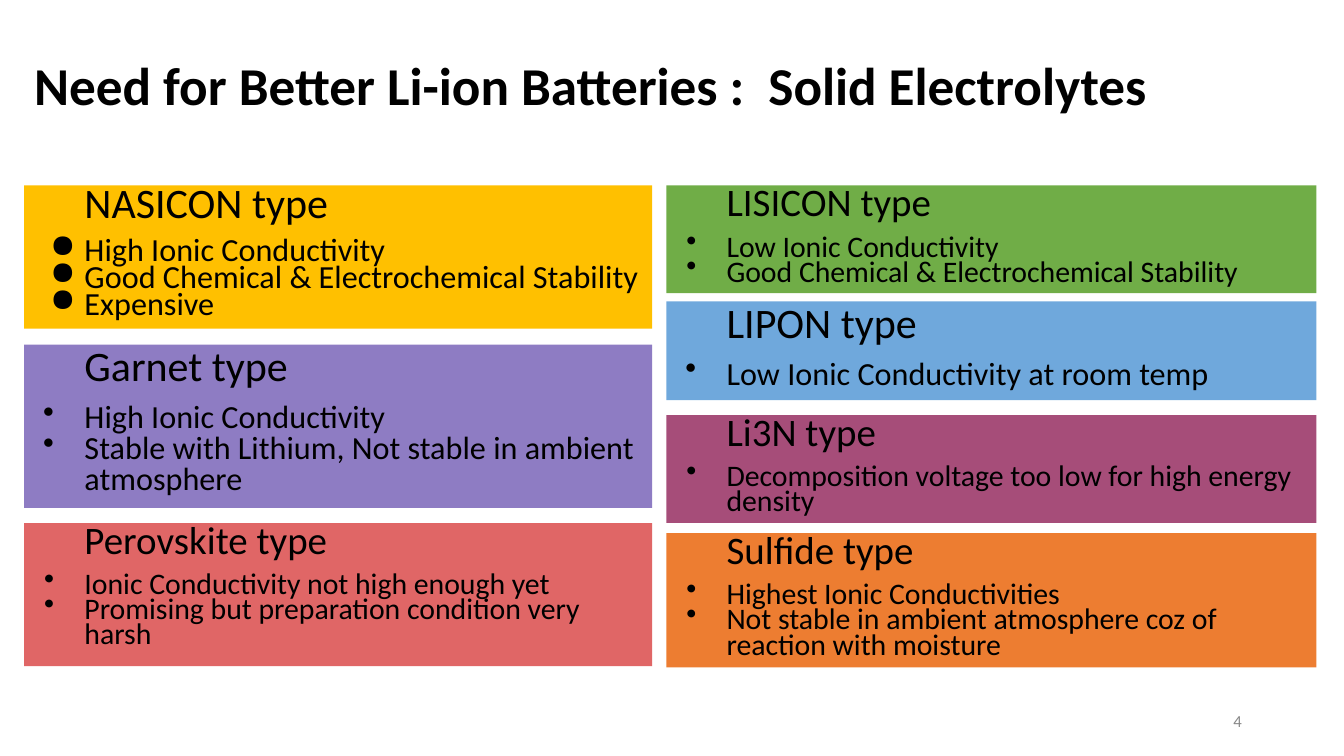
from dataclasses import dataclass

from lxml import etree
from pptx import Presentation
from pptx.dml.color import RGBColor
from pptx.enum.text import MSO_ANCHOR, PP_ALIGN
from pptx.oxml.ns import qn
from pptx.util import Pt

TOP, MIDDLE = MSO_ANCHOR.TOP, MSO_ANCHOR.MIDDLE
LEFT, RIGHT = PP_ALIGN.LEFT, PP_ALIGN.RIGHT

FONT = "Calibri"
BLACK = "000000"
GREY = "888888"
TEXT_INDENT = 36


@dataclass(frozen=True)
class Style:
    head: float
    body: float
    spacing: float
    hang: float
    bullet: str = "•"


@dataclass(frozen=True)
class Panel:
    top: float
    height: float
    fill: str
    style: Style
    title: str
    points: tuple[str, ...]


@dataclass(frozen=True)
class Column:
    left: float
    width: float
    panels: tuple[Panel, ...]


DOTTED = Style(30, 23, 0.7, 24.5, "●")
ROOMY = Style(30, 23, 0.8, 29.5)
COMPACT = Style(27.8, 21.3, 0.7, 28.8)

COLUMNS = (
    Column(17.3, 448.5, (
        Panel(132.5, 102.2, "FFC000", DOTTED, "NASICON type", (
            "High Ionic Conductivity",
            "Good Chemical & Electrochemical Stability",
            "Expensive",
        )),
        Panel(246.2, 116.6, "8E7CC3", ROOMY, "Garnet type", (
            "High Ionic Conductivity",
            "Stable with Lithium, Not stable in ambient atmosphere",
        )),
        Panel(373.7, 102.2, "E06666", COMPACT, "Perovskite type", (
            "Ionic Conductivity not high enough yet",
            "Promising but preparation condition very harsh",
        )),
    )),
    Column(475.9, 464.4, (
        Panel(132.5, 77, "70AD47", COMPACT, "LISICON type", (
            "Low Ionic Conductivity",
            "Good Chemical & Electrochemical Stability",
        )),
        Panel(215.3, 70.6, "6FA8DC", ROOMY, "LIPON type", (
            "Low Ionic Conductivity at room temp",
        )),
        Panel(296.6, 77, "A64D79", COMPACT, "Li3N type", (
            "Decomposition voltage too low for high energy density",
        )),
        Panel(380.9, 95.8, "ED7D31", COMPACT, "Sulfide type", (
            "Highest Ionic Conductivities",
            "Not stable in ambient atmosphere coz of reaction with moisture",
        )),
    )),
)


def color(value: str) -> RGBColor:
    return RGBColor.from_string(value)


def add_box(s, left: float, top: float, width: float, height: float, anchor=TOP):
    sp = s.shapes.add_textbox(Pt(left), Pt(top), Pt(width), Pt(height))
    tf = sp.text_frame
    tf.word_wrap = True
    tf.vertical_anchor = anchor
    return sp


def write(p, text: str, size: float, fill: str = BLACK, bold: bool = False, **formats) -> None:
    for name, value in formats.items():
        setattr(p, name, value)
    r = p.add_run()
    r.text = text
    for name, value in {"name": FONT, "size": Pt(size), "bold": bold}.items():
        setattr(r.font, name, value)
    r.font.color.rgb = color(fill)


def indent(p, margin: float, first: float, bullet: str = "") -> None:
    pPr = p._p.get_or_add_pPr()
    pPr.set("marL", str(Pt(margin)))
    pPr.set("indent", str(Pt(first)))
    if bullet:
        clr = etree.SubElement(pPr, qn("a:buClr"))
        etree.SubElement(clr, qn("a:srgbClr"), val=BLACK)
        etree.SubElement(pPr, qn("a:buChar"), char=bullet)


def add_panel(s, column: Column, panel: Panel) -> None:
    sp = add_box(s, column.left, panel.top, column.width, panel.height)
    sp.fill.solid()
    sp.fill.fore_color.rgb = color(panel.fill)
    tf, style = sp.text_frame, panel.style
    p = tf.paragraphs[0]
    indent(p, 0, TEXT_INDENT)
    write(p, panel.title, style.head, line_spacing=style.spacing)
    for i, point in enumerate(panel.points):
        p = tf.add_paragraph()
        indent(p, TEXT_INDENT, -style.hang, style.bullet)
        write(p, point, style.body, line_spacing=style.spacing,
              space_before=Pt(0 if i else 10))


def main() -> None:
    prs = Presentation()
    prs.slide_width, prs.slide_height = Pt(960), Pt(540)
    s = prs.slides.add_slide(prs.slide_layouts[6])

    title = add_box(s, 17.3, 10.8, 923.8, 104.4, MIDDLE)
    write(title.text_frame.paragraphs[0],
          "Need for Better Li-ion Batteries :  Solid Electrolytes",
          38, bold=True, alignment=LEFT, line_spacing=0.9)

    for column in COLUMNS:
        for panel in column.panels:
            add_panel(s, column, panel)

    number = add_box(s, 678.2, 500.4, 216, 28.8, MIDDLE)
    write(number.text_frame.paragraphs[0], "4", 12, GREY, alignment=RIGHT)

    prs.save("out.pptx")


if __name__ == "__main__":
    main()
